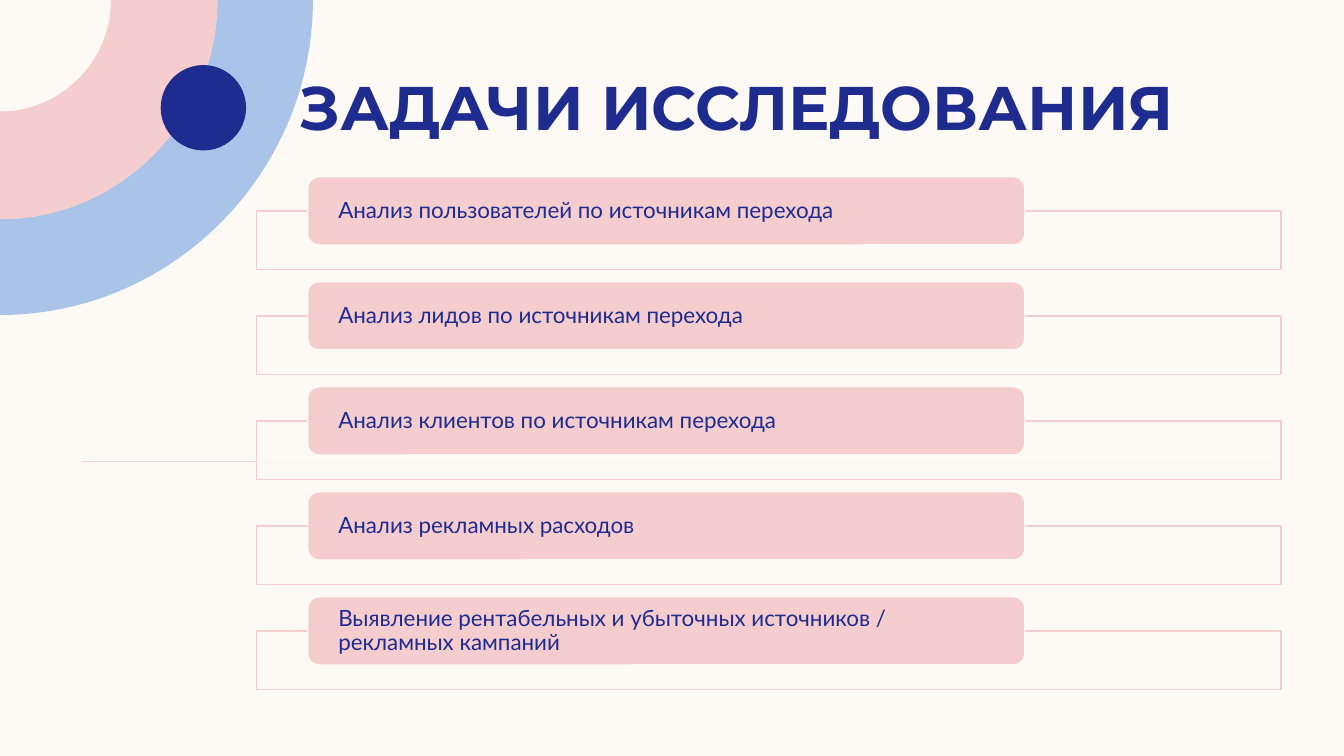
from pptx import Presentation
from pptx.dml.color import RGBColor as RGB
from pptx.enum.shapes import MSO_CONNECTOR as CONN, MSO_SHAPE as SHAPE
from pptx.enum.text import MSO_ANCHOR as ANCHOR, PP_ALIGN as ALIGN
from pptx.oxml.ns import qn
from pptx.util import Pt
from lxml import etree

# Content
TITLE = "ЗАДАЧИ ИССЛЕДОВАНИЯ"
TASKS = [
    "Анализ пользователей по источникам перехода",
    "Анализ лидов по источникам перехода",
    "Анализ клиентов по источникам перехода",
    "Анализ рекламных расходов",
    "Выявление рентабельных и убыточных источников / рекламных кампаний",
]


class Theme:
    cream = RGB(0xFD, 0xFA, 0xF6)
    pink = RGB(0xF5, 0xCD, 0xCE)
    rule = RGB(0xF2, 0xD1, 0xD1)
    blue = RGB(0xAA, 0xC3, 0xE8)
    navy = RGB(0x1F, 0x2C, 0x8F)
    title_font, title_size = "Montserrat", Pt(44)
    body_font, body_size = "Lato", Pt(16)
    line = Pt(1)


# Layout in points
OUTER, MIDDLE, INNER = (223.5, 225), (155.3, 156.6), (79.2, 79.6)
ARC_PULL = 0.55  # control point distance of a quarter arc, per radius
ROW_STEP = 75
FRAME_LEFT, FRAME_TOP, FRAME_W, FRAME_H = 183.2, 150.6, 731.8, 41.8
PILL_LEFT, PILL_TOP, PILL_W, PILL_H = 219.8, 126.3, 512.2, 48.7
PILL_INSET = 19.5


def paint(s, fill, line=None):
    s.shadow.inherit = False
    s.fill.solid()
    s.fill.fore_color.rgb = fill
    if line is None:
        s.line.fill.background()
    else:
        s.line.color.rgb = line
        s.line.width = Theme.line
    return s


def add_box(shapes, kind, x, y, w, h, fill, line=None):
    s = shapes.add_shape(kind, Pt(x), Pt(y), Pt(w), Pt(h))
    return paint(s, fill, line)


def bend(segment, controls):
    """Turn a straight segment into a curve with two control points."""
    segment.tag = qn("a:cubicBezTo")
    for i, (x, y) in enumerate(controls):
        pt = etree.Element(qn("a:pt"), x=str(Pt(x)), y=str(Pt(y)))
        segment.insert(i, pt)


def add_quarter(shapes, fill, outer, hole=None):
    """Quarter disc in the slide corner, or quarter ring when it has a hole."""
    (rx, ry), (hx, hy) = outer, hole or (0, 0)
    points = [(rx, 0), (0, ry)] + ([(0, hy), (hx, 0)] if hole else [])
    builder = shapes.build_freeform(Pt(hx), 0)
    builder.add_line_segments([(Pt(x), Pt(y)) for x, y in points], close=True)
    s = paint(builder.convert_to_shape(), fill)
    segments = list(s._element.iter(qn("a:lnTo")))
    bend(segments[1], [(rx, ry * ARC_PULL), (rx * ARC_PULL, ry)])
    if hole:
        bend(segments[3], [(hx * ARC_PULL, hy), (hx, hy * ARC_PULL)])


def write(s, text, font, size, align, anchor, bold=False):
    tf = s.text_frame
    tf.word_wrap = True
    tf.vertical_anchor = anchor
    p = tf.paragraphs[0]
    p.text = text
    p.alignment = align
    p.font.name, p.font.size, p.font.bold = font, size, bold
    p.font.color.rgb = Theme.navy
    return tf


def add_task(shapes, row, text):
    dy = row * ROW_STEP
    frame = add_box(shapes, SHAPE.RECTANGLE, FRAME_LEFT, FRAME_TOP + dy,
                    FRAME_W, FRAME_H, Theme.cream, Theme.pink)
    color = frame.fill._xPr.find(qn("a:solidFill"))[0]
    etree.SubElement(color, qn("a:alpha"), val="90000")

    pill = add_box(shapes, SHAPE.ROUNDED_RECTANGLE, PILL_LEFT, PILL_TOP + dy,
                   PILL_W, PILL_H, Theme.pink, Theme.cream)
    tf = write(pill, text, Theme.body_font, Theme.body_size, ALIGN.LEFT, ANCHOR.MIDDLE)
    tf.margin_left = tf.margin_right = Pt(PILL_INSET)
    tf.margin_top = tf.margin_bottom = 0
    tf.paragraphs[0].line_spacing = 0.9


def main():
    prs = Presentation()
    prs.slide_width, prs.slide_height = Pt(960), Pt(540)
    slide = prs.slides.add_slide(prs.slide_layouts[6])
    slide.background.fill.solid()
    slide.background.fill.fore_color.rgb = Theme.cream
    shapes = slide.shapes

    # Corner rings and dot
    add_quarter(shapes, Theme.blue, OUTER, hole=MIDDLE)
    add_quarter(shapes, Theme.pink, MIDDLE)
    add_quarter(shapes, Theme.cream, INNER)
    add_box(shapes, SHAPE.OVAL, 114.8, 46.5, 61, 61, Theme.navy)

    # Thin rule behind the list
    rule = shapes.add_connector(CONN.STRAIGHT, Pt(58), Pt(329.8), Pt(909.4), Pt(329.8))
    rule.line.color.rgb = Theme.rule
    rule.line.width = Theme.line
    etree.SubElement(rule._element.spPr, qn("a:effectLst"))

    # Title
    title = shapes.add_textbox(Pt(183.2), Pt(45.4), Pt(686.9), Pt(60.5))
    write(title, TITLE, Theme.title_font, Theme.title_size, ALIGN.CENTER, ANCHOR.BOTTOM, True)

    # Task list
    for row, text in enumerate(TASKS):
        add_task(shapes, row, text)

    prs.save("out.pptx")


if __name__ == "__main__":
    main()
